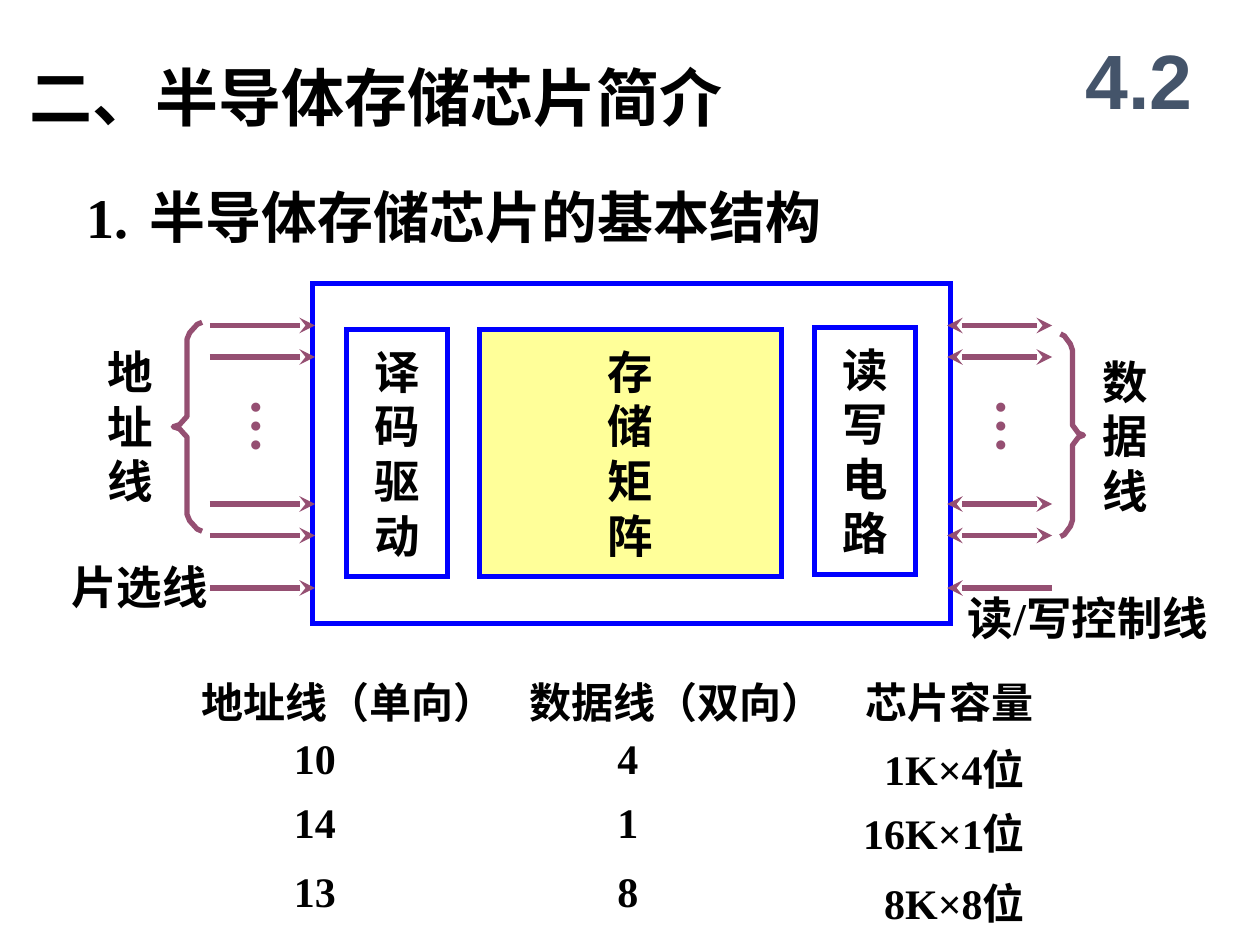
from dataclasses import dataclass

from lxml.etree import SubElement
from pptx import Presentation
from pptx.dml.color import RGBColor
from pptx.enum.shapes import MSO_CONNECTOR as Connector, MSO_SHAPE as Shape
from pptx.enum.text import MSO_ANCHOR as Anchor, MSO_AUTO_SIZE as AutoSize, PP_ALIGN as Align
from pptx.oxml.ns import qn
from pptx.util import Inches, Pt


@dataclass(frozen=True)
class Theme:
    ink: RGBColor = RGBColor.from_string("000000")
    outline: RGBColor = RGBColor.from_string("0000FF")
    matrix: RGBColor = RGBColor.from_string("FFFF99")
    wire: RGBColor = RGBColor.from_string("954F72")
    section: RGBColor = RGBColor.from_string("44546A")
    serif: str = "Times New Roman"
    sans: str = "Arial"
    title: int = 36
    heading: int = 32
    section_size: int = 44
    label: int = 26
    table: int = 24
    stroke: int = 3


theme = Theme()
deck = Presentation()
deck.slide_width, deck.slide_height = Inches(10), Inches(7.5)
page = deck.slides.add_slide(deck.slide_layouts[1])
shapes = page.shapes
cell_size = deck.slide_width / 120


def grid(*cells):
    return [round(cell * cell_size) for cell in cells]


def write(frame, text, size, color=theme.ink, font=theme.serif, align=Align.LEFT,
          anchor=Anchor.TOP, wrap=False):
    frame.text = text
    frame.word_wrap = wrap
    frame.vertical_anchor = anchor
    for para in frame.paragraphs:
        para.alignment = align
        para.space_before = Pt(0)
        for span in para.runs:
            span.font.name, span.font.size, span.font.bold = font, Pt(size), True
            span.font.color.rgb = color


title, heading = shapes.title, page.placeholders[1]
for box, place, text, size in [
    (title, (1.6, 5, 78, 8.4), "二、半导体存储芯片简介", theme.title),
    (heading, (7, 16.8, 84, 7.7), "1.\t半导体存储芯片的基本结构", theme.heading),
]:
    box.left, box.top, box.width, box.height = grid(*place)
    write(box.text_frame, text, size, wrap=True)
    box.text_frame.auto_size = AutoSize.NONE

props = heading.text_frame.paragraphs[0]._p.get_or_add_pPr()
props.set("marL", "0")
props.set("indent", "0")
SubElement(props, qn("a:buNone"))
tabs = SubElement(props, qn("a:tabLst"))
SubElement(tabs, qn("a:tab"), pos=str(grid(9.8)[0]), algn="l")

for place, text, fill in [
    ((29.8, 27, 60.7, 32.4), "", None),
    ((33, 31.4, 9.6, 23.5), "译码驱动", None),
    ((45.7, 31.4, 28.7, 23.5), "存储矩阵", theme.matrix),
    ((77.6, 31.2, 9.6, 23.5), "读写电路", None),
]:
    block = shapes.add_shape(Shape.RECTANGLE, *grid(*place))
    block.shadow.inherit = False
    block.line.color.rgb, block.line.width = theme.outline, Pt(theme.stroke)
    SubElement(block.line._get_or_add_ln(), qn("a:miter"), lim="800000")
    if fill is None:
        block.fill.background()
    else:
        block.fill.solid()
        block.fill.fore_color.rgb = fill
    if text:
        write(block.text_frame, "\n".join(text), theme.label, align=Align.CENTER,
              anchor=Anchor.MIDDLE)

for place, text in [
    ((9.1, 32.2, 6.7, 16.8), "地\n址\n线"),
    ((103.8, 33.1, 6.7, 16.8), "数\n据\n线"),
    ((5.6, 52.7, 15.4, 6.5), "片选线"),
    ((91, 55.6, 27.4, 6.5), "读/写控制线"),
]:
    label = shapes.add_textbox(*grid(*place))
    write(label.text_frame, text, theme.label)

section = shapes.add_textbox(*grid(101, 2, 15, 11))
write(section.text_frame, "4.2", theme.section_size, theme.section, theme.sans,
      Align.CENTER, Anchor.MIDDLE, True)

bus_rows, control_row = (31, 34, 48, 51), 56
for start, end, two_way in [(20, 30, False), (100.2, 90.2, True)]:
    for row in (*bus_rows, control_row):
        wire = shapes.add_connector(Connector.STRAIGHT, *grid(start, row, end, row))
        wire.line.color.rgb, wire.line.width = theme.wire, Pt(theme.stroke)
        line = wire.line._get_or_add_ln()
        if two_way and row != control_row:
            SubElement(line, qn("a:headEnd"), type="stealth")
        SubElement(line, qn("a:tailEnd"), type="stealth")
        SubElement(wire._element.spPr, qn("a:effectLst"))

half = [(1, 0), (0.83, 0.01), (0.7, 0.03), (0.57, 0.05), (0.48, 0.08),
        (0.48, 0.45), (0.35, 0.47), (0.22, 0.49), (0, 0.5)]
profile = half + [(depth, 1 - drop) for depth, drop in half[-2::-1]]
for tip, top, width, height, dots_left in [
    (16.5, 30.7, 2.75, 19.9, 21.2),
    (103.2, 31.8, -2.2, 19.3, 92.1),
]:
    points = [grid(tip + depth * width, top + drop * height) for depth, drop in profile]
    outline = shapes.build_freeform(*points[0])
    outline.add_line_segments(points[1:], close=False)
    brace = outline.convert_to_shape()
    brace.shadow.inherit = False
    brace.fill.background()
    brace.line.color.rgb, brace.line.width = theme.wire, Pt(theme.stroke)

    dots = shapes.add_textbox(*grid(dots_left, 36.8, 8.8, 6.6))
    frame = dots.text_frame
    write(frame, "…", theme.heading, theme.wire)
    frame.margin_left = frame.margin_right = Inches(0.05)
    frame.margin_top = frame.margin_bottom = Inches(0.1)
    frame._txBody.bodyPr.set("vert", "eaVert")

rows = [
    (6.4, ("地址线（单向）", "数据线（双向）", "芯片容量")),
    (6.1, ("10", "4", "1K×4位")),
    (6.6, ("14", "1", "16K×1位")),
    (6, ("13", "8", "8K×8位")),
]
columns = [
    (31.2, 1.2, 10, 0, Align.LEFT),
    (31, 1.2, 9.6, 0, Align.LEFT),
    (28.6, 2.2, 0, 11.2, Align.RIGHT),
]
table_width = sum(column[0] for column in columns)
table_height = sum(row[0] for row in rows)
table = shapes.add_table(len(rows), len(columns),
                         *grid(18, 63.2, table_width, table_height)).table
table.first_row = table.horz_banding = False
for number, (height, texts) in enumerate(rows):
    table.rows[number].height = grid(height)[0]
    for index, (width, header_left, left, right, align) in enumerate(columns):
        table.columns[index].width = grid(width)[0]
        cell = table.cell(number, index)
        cell.fill.background()
        cell.vertical_anchor = Anchor.TOP
        cell.margin_top, cell.margin_bottom = Inches(0.05), 0
        cell.margin_left, cell.margin_right = grid(left, right) if number else grid(header_left, 0)
        write(cell.text_frame, texts[index], theme.table,
              align=align if number else Align.LEFT, wrap=True)

deck.save("out.pptx")
